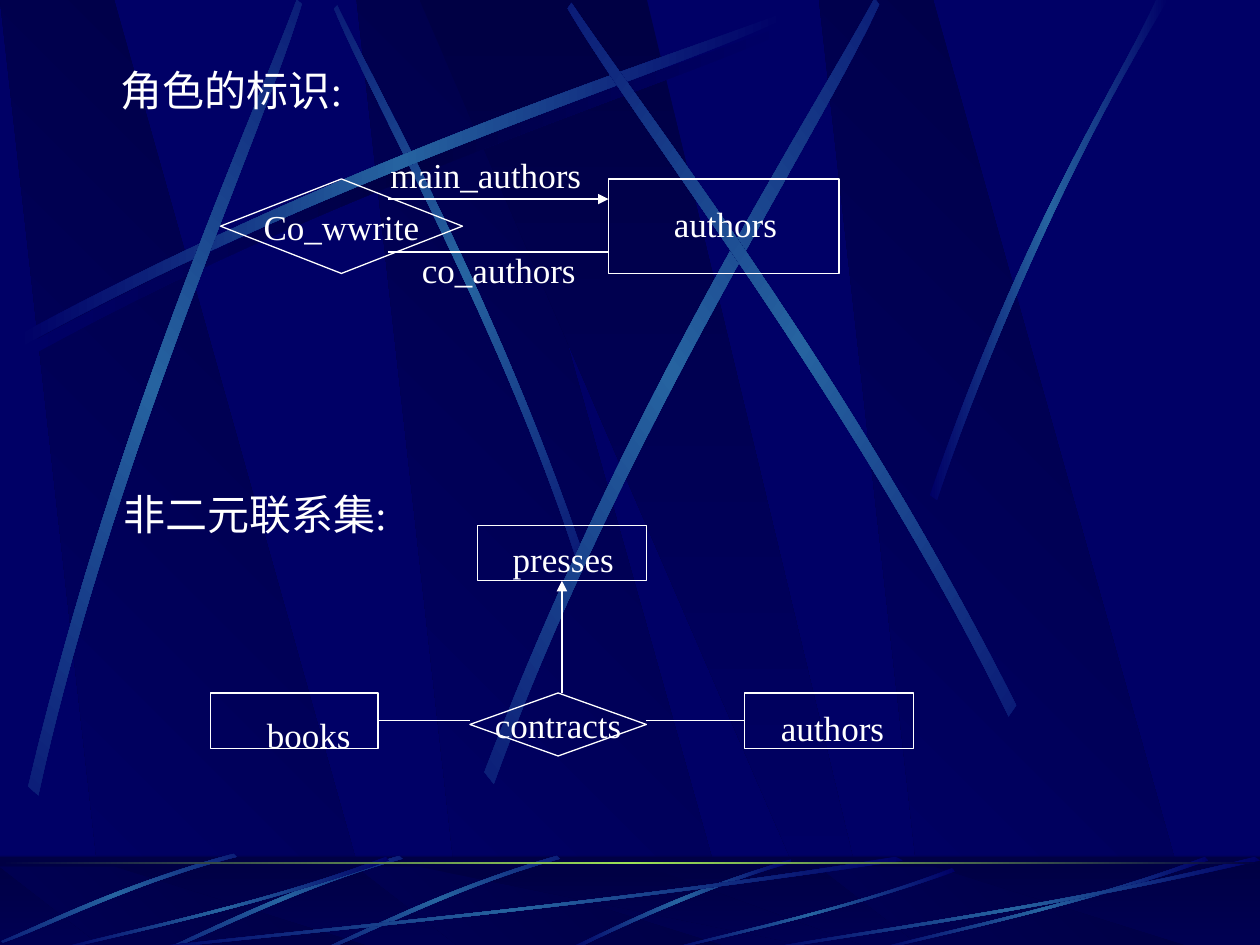
from lxml import etree
from pptx import Presentation
from pptx.dml.color import RGBColor
from pptx.enum.shapes import MSO_CONNECTOR, MSO_SHAPE
from pptx.enum.text import MSO_ANCHOR, PP_ALIGN
from pptx.oxml import parse_xml
from pptx.oxml.ns import nsdecls, qn
from pptx.util import Inches, Pt

NAVY = RGBColor(0x00, 0x00, 0x66)
DARK = RGBColor(0x00, 0x00, 0x44)
STEEL = RGBColor(0x26, 0x63, 0xA0)
LIME = RGBColor(0x9C, 0xE1, 0x57)
WHITE = RGBColor(0xFF, 0xFF, 0xFF)
FONT = "Times New Roman"

# Gradients: colours at equal steps, then the angle
PANEL_FILL = ([DARK, NAVY], 135)
FALL_FILL = ([DARK, NAVY], 90)
SHADOW_FILL = ([NAVY, DARK, NAVY], 180)
RAY_FILL = ([NAVY, STEEL, NAVY], 180)
HORIZON_FILL = ([DARK, LIME, DARK], 180)

# Outlines in a unit square: one pair is a corner, three pairs are a Bezier curve
PANEL = [[(0.28, 1)], [(1, 1)], [(0.3, 0)], [(0, 0)]]
WEDGE = [[(0, 0)], [(0.9, 1)], [(1, 1)], [(0.5, 0)]]
STREAK = [[(0, 0.96)], [(0.43, 0.43), (0.83, 0.15), (1, 0)],
          [(1, 0.02)], [(0.84, 0.19), (0.39, 0.5), (0, 1)]]
FALLING = [[(0, 0.99)], [(0.4, 0.44), (0.79, 0.17), (0.95, 0)],
           [(1, 0)], [(0.52, 0.37), (0.16, 0.81), (0.03, 1)]]
FLOOR_RAY = [[(1, 0.04)], [(0.57, 0.57), (0.17, 0.85), (0.01, 1)],
             [(0, 0.99)], [(0.17, 0.81), (0.62, 0.51), (0.99, 0)]]
FLOOR_ARC = [[(1, 0)], [(0.49, 0.37), (0.16, 0.82), (0, 0.99)],
             [(0.03, 1)], [(0.23, 0.75), (0.68, 0.25), (1, 0.04)]]

PANEL_LEFTS = [2.83, 0, 6.5]
# box, rotation, mirrored
STREAKS = [
    ((1.41, 1.35, 4.42, 1.75), 45, True),
    ((0.14, 0.1, 6.08, 2.67), 0, False),
    ((-1.71, 1.82, 6.08, 2.67), 311.7, False),
    ((2.31, 1.6, 6.24, 3.01), 321.6, False),
    ((3.23, 1.52, 6.08, 2.67), 34.8, True),
]
FLOOR_STREAKS = [
    ((2.58, 6.76, 1.84, 0.83), 314.9, True),
    ((1.33, 6.76, 1.84, 0.83), 314.9, True),
    ((0.05, 6.71, 1.79, 0.85), 314.9, True),
]
FLOOR_RAYS = [(1, 6.8, 6.17, 0.75), (0.42, 6.8, 2.67, 0.75), (5.27, 6.89, 2.31, 0.66),
              (6.92, 6.8, 2.67, 0.75), (6, 6.8, 4, 0.75)]

HEADINGS = [("非二元联系集:", (0.88, 3.83, 2.37, 0.5)),
            ("角色的标识:", (0.86, 0.46, 2.04, 0.5))]
# Links: from, to, arrowhead
DIAGRAMS = [
    {
        "relationship": ("contracts", (3.73, 5.5, 1.4, 0.5)),
        "entities": [(5.91, 5.5, 1.34, 0.44), (3.79, 4.17, 1.34, 0.44),
                     (1.67, 5.5, 1.33, 0.44)],
        "labels": [("authors", (6.1, 5.56, 1.04, 0.44)), ("presses", (3.97, 4.22, 1.04, 0.44)),
                   ("books", (2.02, 5.61, 0.87, 0.44))],
        "links": [((4.46, 5.5), (4.46, 4.61), True), ((5.13, 5.72), (5.91, 5.72), False),
                  ((3.73, 5.72), (3, 5.72), False)],
    },
    {
        "relationship": ("Co_wwrite", (1.75, 1.42, 1.92, 0.75)),
        "entities": [(4.83, 1.42, 1.83, 0.75)],
        "labels": [("authors", (5.25, 1.56, 1.26, 0.44)),
                   ("main_authors", (3, 1.17, 1.75, 0.44)),
                   ("co_authors", (3.25, 1.92, 1.45, 0.44))],
        "links": [((3.08, 1.58), (4.83, 1.58), True), ((3.08, 2), (4.83, 2), False)],
    },
]


def inches(values):
    return [Inches(v) for v in values]


def set_gradient(sp, colours, angle):
    stops = "".join(
        f'<a:gs pos="{round(100000 * i / (len(colours) - 1))}"><a:srgbClr val="{c}"/></a:gs>'
        for i, c in enumerate(colours))
    sp.fill.background()
    no_fill = sp.element.spPr.find(qn("a:noFill"))
    no_fill.getparent().replace(no_fill, parse_xml(
        f'<a:gradFill rotWithShape="1" {nsdecls("a")}><a:gsLst>{stops}</a:gsLst>'
        f'<a:lin ang="{angle * 60000}" scaled="0"/></a:gradFill>'))


def add_outline(shapes, outline, box, gradient, rotation=0, mirrored=False):
    left, top, width, height = box
    parts = [[(Inches(left + width * (1 - x if mirrored else x)), Inches(top + height * y))
              for x, y in part] for part in outline]
    ends = [part[-1] for part in parts]
    builder = shapes.build_freeform(*ends[0])
    builder.add_line_segments(ends[1:], close=True)
    sp = builder.convert_to_shape()
    bend(sp, parts, min(x for x, _ in ends), min(y for _, y in ends))
    sp.rotation = rotation
    sp.shadow.inherit = False
    sp.line.fill.background()
    set_gradient(sp, *gradient)


def bend(sp, parts, left, top):
    """Turn the straight segments that have control points into Bezier curves."""
    segments = list(next(sp.element.iter(qn("a:pathLst")))[0])
    for segment, part in zip(segments, parts):
        if len(part) == 3:
            segment.tag = qn("a:cubicBezTo")
            segment.remove(segment[0])
            for x, y in part:
                etree.SubElement(segment, qn("a:pt"), x=str(x - left), y=str(y - top))


def add_band(shapes, box, gradient):
    sp = shapes.add_shape(MSO_SHAPE.RECTANGLE, *inches(box))
    sp.shadow.inherit = False
    sp.line.fill.background()
    if gradient:
        set_gradient(sp, *gradient)
    else:
        sp.fill.solid()
        sp.fill.fore_color.rgb = DARK
        colour = sp.element.spPr.find(qn("a:solidFill"))[0]
        etree.SubElement(colour, qn("a:alpha"), val="50000")


def add_backdrop(slide, master):
    """Draw the backdrop as one group and hand it to the slide master."""
    group = slide.shapes.add_group_shape()
    shapes = group.shapes

    def add_panels(top, height):
        for left in PANEL_LEFTS:
            add_outline(shapes, PANEL, (left, top, 3.02, height), PANEL_FILL)
        add_outline(shapes, WEDGE, (3.33, top, 3.61, height), FALL_FILL)

    add_panels(0, 7.52)
    add_outline(shapes, STREAK, (0.2, 0.18, 6.08, 2.67), SHADOW_FILL)
    for box, rotation, mirrored in STREAKS:
        add_outline(shapes, STREAK, box, RAY_FILL, rotation, mirrored)
    add_outline(shapes, FALLING, (7.38, 0, 1.89, 3.97), RAY_FILL)
    add_band(shapes, (0, 6.8, 10, 0.75), FALL_FILL)
    add_panels(6.88, 0.66)
    add_band(shapes, (0, 6.79, 10, 0.75), None)
    add_outline(shapes, FLOOR_ARC, (4.48, 6.82, 1.8, 0.73), RAY_FILL)
    for box, rotation, mirrored in FLOOR_STREAKS:
        add_outline(shapes, STREAK, box, RAY_FILL, rotation, mirrored)
    for box in FLOOR_RAYS:
        add_outline(shapes, FLOOR_RAY, box, RAY_FILL)
    add_band(shapes, (0, 6.84, 10, 0.02), HORIZON_FILL)

    master.background.fill.solid()
    master.background.fill.fore_color.rgb = NAVY
    tree = master.shapes.element
    tree.insert(2, group.element)
    for number, props in enumerate(tree.iter(qn("p:cNvPr")), 1):
        props.set("id", str(number))


def write(sp, text, size, align=PP_ALIGN.LEFT, wrap=True):
    tf = sp.text_frame
    tf.word_wrap = wrap
    p = tf.paragraphs[0]
    p.alignment = align
    r = p.add_run()
    r.text = text
    r.font.name, r.font.size = FONT, Pt(size)
    r.font.color.rgb = WHITE


def add_node(shapes, kind, box):
    sp = shapes.add_shape(kind, *inches(box))
    sp.shadow.inherit = False
    sp.fill.background()
    sp.line.color.rgb, sp.line.width = WHITE, Pt(0.75)
    return sp


def add_link(shapes, start, end, arrow):
    link = shapes.add_connector(MSO_CONNECTOR.STRAIGHT, *inches(start + end))
    link.line.color.rgb, link.line.width = WHITE, Pt(0.75)
    if arrow:
        etree.SubElement(link.line._get_or_add_ln(), qn("a:tailEnd"), type="triangle")
    etree.SubElement(link.element.spPr, qn("a:effectLst"))


def add_diagram(shapes, diagram):
    text, box = diagram["relationship"]
    sp = add_node(shapes, MSO_SHAPE.DIAMOND, box)
    sp.text_frame.vertical_anchor = MSO_ANCHOR.MIDDLE
    write(sp, text, 20, PP_ALIGN.CENTER, False)
    for box in diagram["entities"]:
        add_node(shapes, MSO_SHAPE.RECTANGLE, box)
    for link in diagram["links"]:
        add_link(shapes, *link)
    for text, box in diagram["labels"]:
        write(shapes.add_textbox(*inches(box)), text, 20)


def main():
    prs = Presentation()
    prs.slide_width, prs.slide_height = Inches(10), Inches(7.5)
    slide = prs.slides.add_slide(prs.slide_layouts[6])
    add_backdrop(slide, prs.slide_master)
    for diagram in DIAGRAMS:
        add_diagram(slide.shapes.add_group_shape().shapes, diagram)
    for text, box in HEADINGS:
        write(slide.shapes.add_textbox(*inches(box)), text, 24)
    prs.save("out.pptx")


if __name__ == "__main__":
    main()
